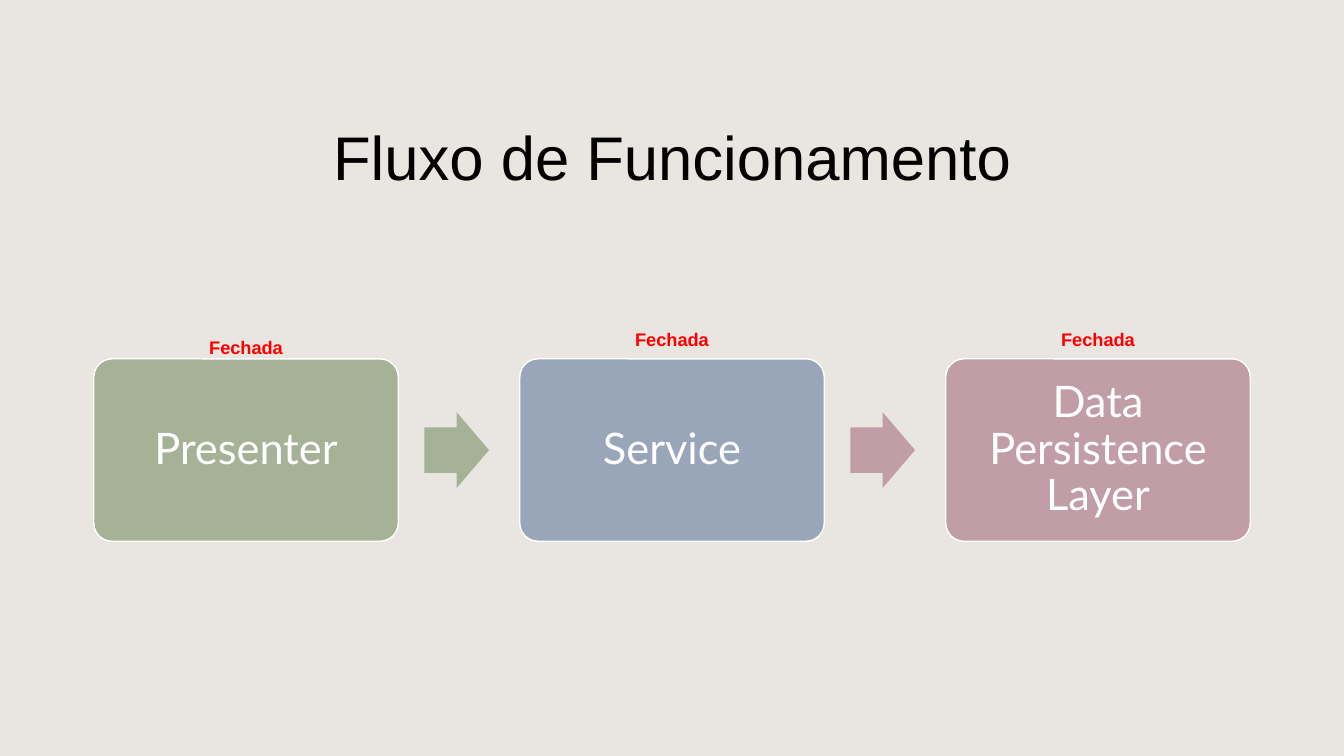
"""Build a slide showing the three-step flow of an application."""
import pptx
import pptx.util
import pptx.dml.color
import pptx.enum.shapes
import pptx.enum.text

Inches = pptx.util.Inches
RGBColor = pptx.dml.color.RGBColor
Shape = pptx.enum.shapes.MSO_SHAPE

BACKGROUND = RGBColor(0xE9, 0xE5, 0xE1)
BLACK = RGBColor(0x00, 0x00, 0x00)
WHITE = RGBColor(0xFF, 0xFF, 0xFF)
RED = RGBColor(0xFF, 0x00, 0x00)
GREEN = RGBColor(0xA5, 0xB2, 0x95)
BLUE = RGBColor(0x99, 0xA6, 0xBA)
ROSE = RGBColor(0xC1, 0x9D, 0xA7)

TITLE = "Fluxo de Funcionamento"
STEPS = [
    {"name": "Presenter", "color": GREEN, "status": "Fechada", "status_top": 3.28},
    {"name": "Service", "color": BLUE, "status": "Fechada", "status_top": 3.21},
    {"name": "Data Persistence Layer", "color": ROSE, "status": "Fechada", "status_top": 3.21},
]
ARROW_COLORS = [GREEN, ROSE]

TITLE_FONT = {"name": "Arial", "size": pptx.util.Pt(44), "bold": False}
STEP_FONT = {"name": "Lato", "size": pptx.util.Pt(31)}
STATUS_FONT = {"name": "Arial", "size": pptx.util.Pt(13), "bold": True}

SLIDE_WIDTH, SLIDE_HEIGHT = 13.33, 7.5
STEP_LEFT, STEP_TOP, STEP_PITCH = 0.93, 3.56, 4.225
STEP_WIDTH, STEP_HEIGHT = 3.02, 1.81
ARROW_OFFSET, ARROW_WIDTH, ARROW_HEIGHT = 3.28, 0.64, 0.75
STATUS_WIDTH, STATUS_HEIGHT = 3.04, 0.32
STEP_INSET = 0.19


def write_text(shape, text, font, color):
    frame = shape.text_frame
    frame.word_wrap = True
    frame.auto_size = pptx.enum.text.MSO_AUTO_SIZE.NONE
    frame.vertical_anchor = pptx.enum.text.MSO_ANCHOR.MIDDLE
    para = frame.paragraphs[0]
    para.alignment = pptx.enum.text.PP_ALIGN.CENTER
    span = para.add_run()
    span.text = text
    span.font.color.rgb = color
    for key, value in font.items():
        setattr(span.font, key, value)
    return frame


def add_block(page, kind, place, color, adjustments):
    block = page.shapes.add_shape(kind, *map(Inches, place))
    block.shadow.inherit = False
    block.fill.solid()
    block.fill.fore_color.rgb = color
    block.line.fill.background()
    for index, value in enumerate(adjustments):
        block.adjustments[index] = value
    return block


def add_step(page, left, step):
    place = (left, STEP_TOP, STEP_WIDTH, STEP_HEIGHT)
    box = add_block(page, Shape.ROUNDED_RECTANGLE, place, step["color"], [0.1])
    box.line.color.rgb = WHITE
    box.line.width = pptx.util.Pt(1)
    frame = write_text(box, step["name"], STEP_FONT, WHITE)
    frame.paragraphs[0].line_spacing = 0.9
    for side in ("left", "top", "right", "bottom"):
        setattr(frame, f"margin_{side}", Inches(STEP_INSET))

    status_left = left + (STEP_WIDTH - STATUS_WIDTH) / 2
    status_place = (status_left, step["status_top"], STATUS_WIDTH, STATUS_HEIGHT)
    status = page.shapes.add_textbox(*map(Inches, status_place))
    write_text(status, step["status"], STATUS_FONT, RED)


def main():
    deck = pptx.Presentation()
    deck.slide_width, deck.slide_height = Inches(SLIDE_WIDTH), Inches(SLIDE_HEIGHT)
    page = deck.slides.add_slide(deck.slide_layouts[5])
    page.background.fill.solid()
    page.background.fill.fore_color.rgb = BACKGROUND

    title = page.shapes.title
    title.left, title.top = Inches(1.2), Inches(0.42)
    title.width, title.height = Inches(10.94), Inches(2.25)
    write_text(title, TITLE, TITLE_FONT, BLACK)

    for index, step in enumerate(STEPS):
        add_step(page, STEP_LEFT + index * STEP_PITCH, step)

    arrow_top = STEP_TOP + (STEP_HEIGHT - ARROW_HEIGHT) / 2
    for index, color in enumerate(ARROW_COLORS):
        arrow_left = STEP_LEFT + index * STEP_PITCH + ARROW_OFFSET
        place = (arrow_left, arrow_top, ARROW_WIDTH, ARROW_HEIGHT)
        add_block(page, Shape.RIGHT_ARROW, place, color, [0.6, 0.5])

    deck.save("out.pptx")


if __name__ == "__main__":
    main()
